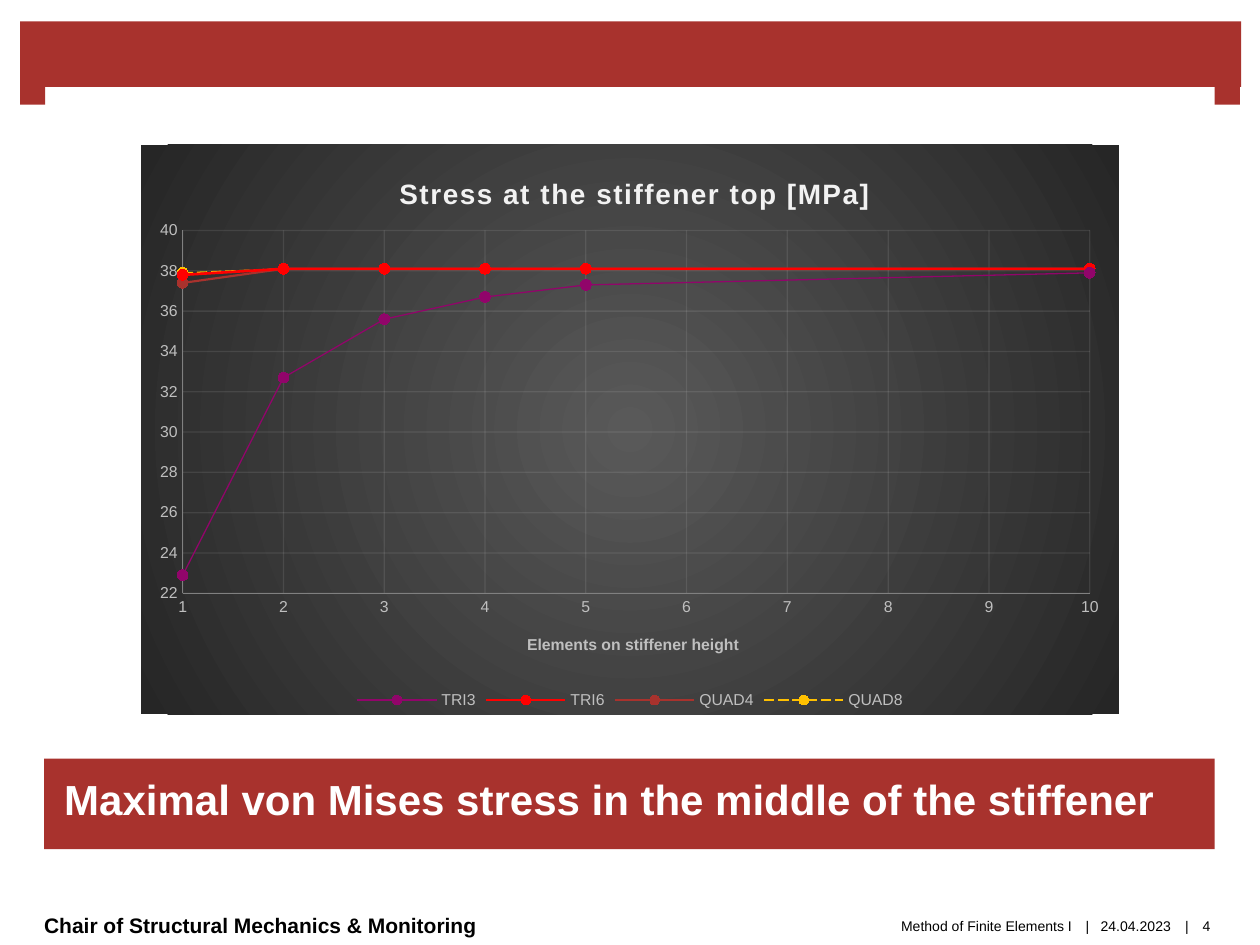
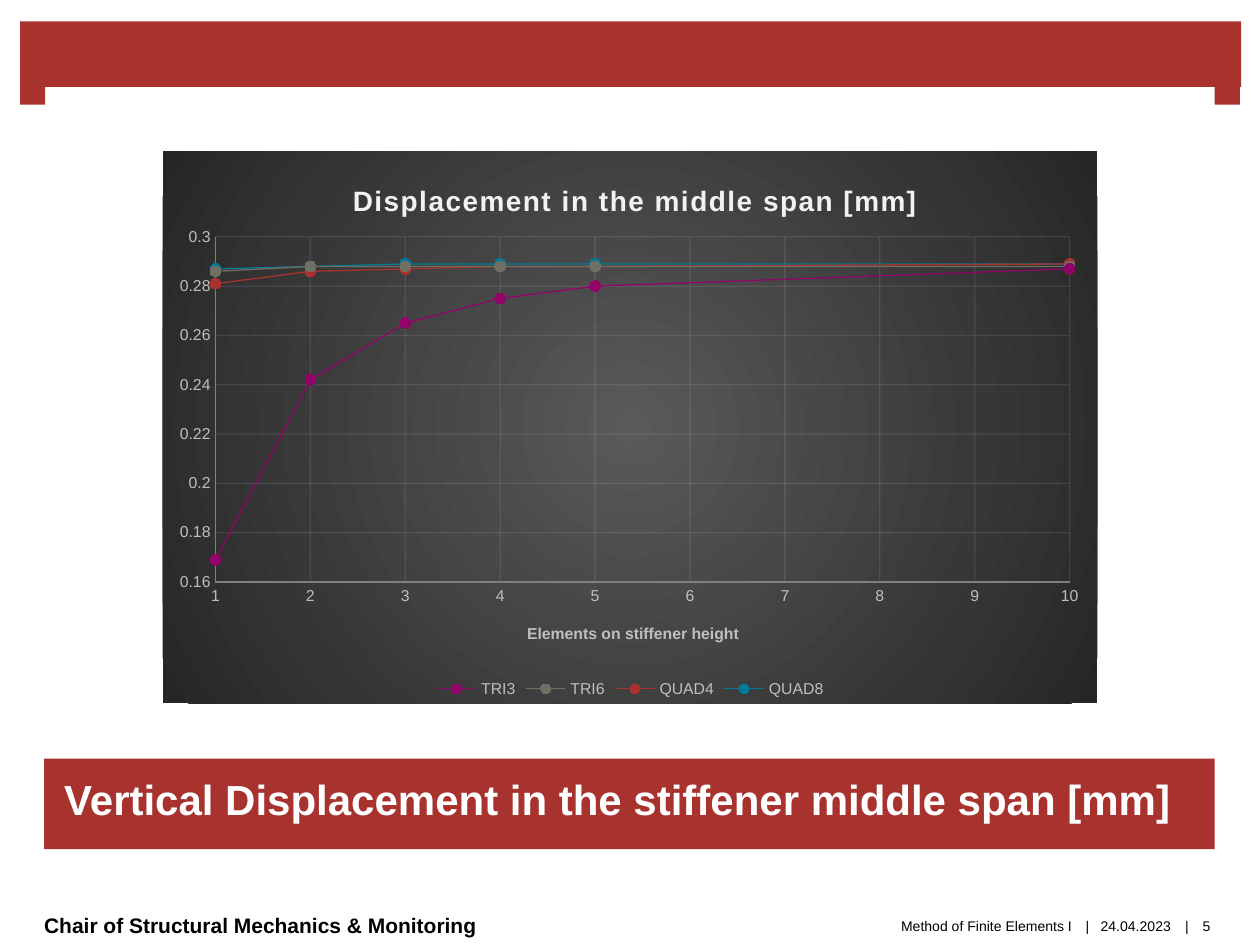
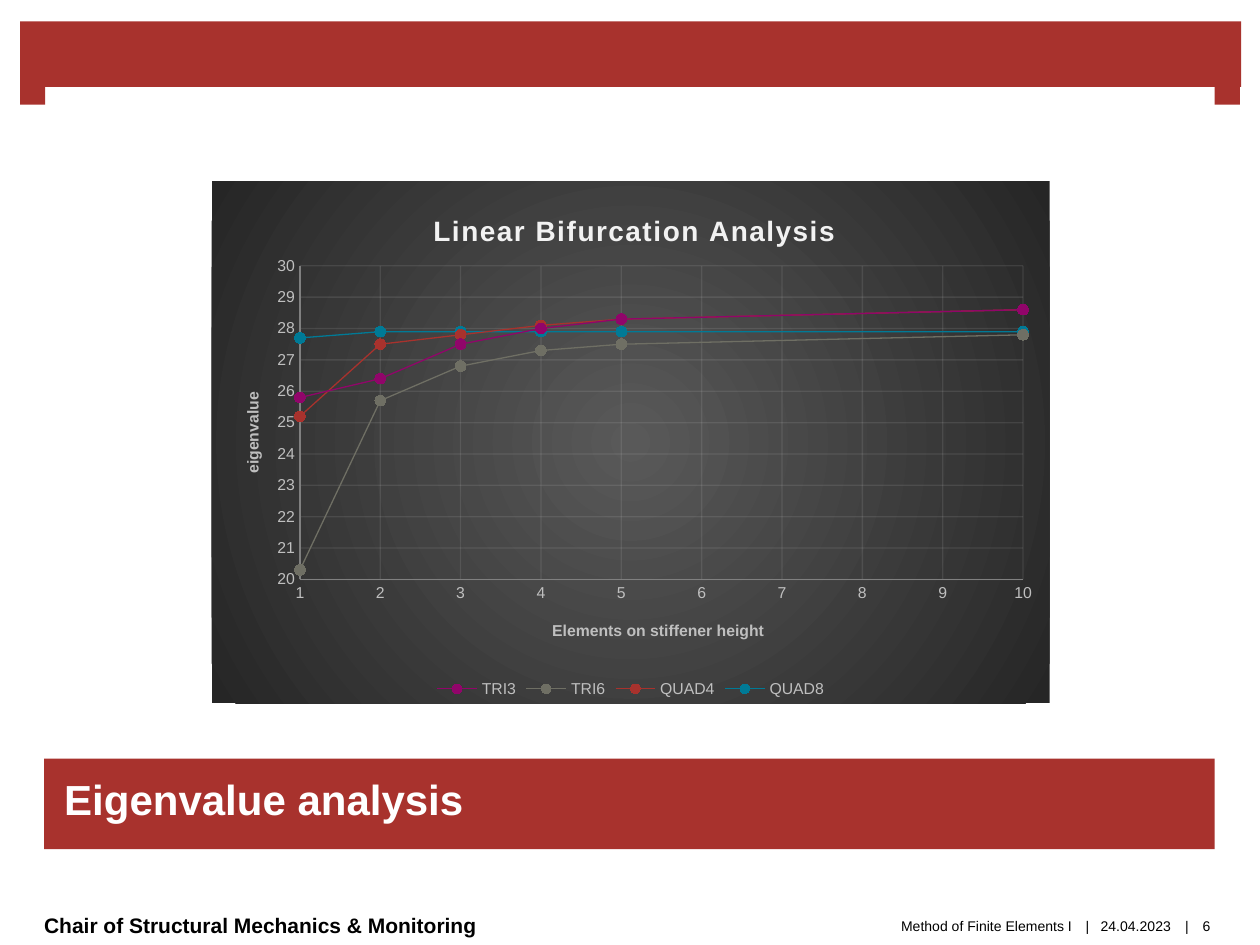
from lxml import etree
from pptx import Presentation
from pptx.chart.data import XyChartData
from pptx.dml.color import RGBColor
from pptx.enum.chart import (XL_CHART_TYPE, XL_LEGEND_POSITION,
                             XL_MARKER_STYLE, XL_TICK_MARK)
from pptx.enum.dml import MSO_LINE
from pptx.enum.shapes import MSO_SHAPE
from pptx.enum.text import MSO_ANCHOR, PP_ALIGN
from pptx.oxml import parse_xml
from pptx.oxml.ns import nsdecls, qn
from pptx.util import Inches, Pt

FONT = "Arial"
BRICK = RGBColor(0xA8, 0x32, 0x2D)
PURPLE = RGBColor(0x91, 0x05, 0x6A)
STONE = RGBColor(0x6F, 0x6F, 0x64)
TEAL = RGBColor(0x00, 0x7A, 0x96)
RED = RGBColor(0xFF, 0x00, 0x00)
GOLD = RGBColor(0xFF, 0xC0, 0x00)
WHITE = RGBColor(0xFF, 0xFF, 0xFF)
BLACK = RGBColor(0x00, 0x00, 0x00)
PALE = RGBColor(0xF2, 0xF2, 0xF2)
SILVER = RGBColor(0xBF, 0xBF, 0xBF)
AXIS_GREY = RGBColor(0x80, 0x80, 0x80)

# Content: boxes are left, top, width, height in inches on the slide
ELEMENT_COUNTS = [1, 2, 3, 4, 5, 10]
X_TITLE = "Elements on stiffener height"
SERIES_STYLE = {  # colour, line width, dash
    "TRI3": (PURPLE, 0.75, None),
    "TRI6": (STONE, 0.75, None),
    "QUAD4": (BRICK, 0.75, None),
    "QUAD8": (TEAL, 0.75, None),
}
STRESS_STYLE = SERIES_STYLE | {
    "TRI6": (RED, 1.5, None),
    "QUAD4": (BRICK, 1.25, None),
    "QUAD8": (GOLD, 0.75, MSO_LINE.LONG_DASH),
}
STUDIES = [
    {
        "heading": "Maximal von Mises stress in the middle of the stiffener",
        "chart_title": "Stress at the stiffener top [MPa]",
        "chart_box": (1.12, 1.15, 7.76, 4.52),
        "plot_box": (1.45, 1.83, 7.2, 2.88),
        "title_left": 3.13, "x_title_left": 4.16,
        "y_scale": (22, 40, 2),
        "style": STRESS_STYLE,
        "values": {
            "TRI3": [22.9, 32.7, 35.6, 36.7, 37.3, 37.9],
            "TRI6": [37.8, 38.1, 38.1, 38.1, 38.1, 38.1],
            "QUAD4": [37.4, 38.1, 38.1, 38.1, 38.1, 38.1],
            "QUAD8": [37.9, 38.1, 38.1, 38.1, 38.1, 38.1],
        },
    },
    {
        "heading": "Vertical Displacement in the stiffener middle span [mm]",
        "chart_title": "Displacement in the middle span [mm]",
        "chart_box": (1.29, 1.2, 7.42, 4.38),
        "plot_box": (1.71, 1.88, 6.78, 2.74),
        "title_left": 2.76, "x_title_left": 4.16,
        "y_scale": (0.16, 0.3, 0.02),
        "style": SERIES_STYLE,
        "values": {
            "TRI3": [0.169, 0.242, 0.265, 0.275, 0.28, 0.287],
            "TRI6": [0.286, 0.288, 0.288, 0.288, 0.288, 0.288],
            "QUAD4": [0.281, 0.286, 0.287, 0.288, 0.288, 0.289],
            "QUAD8": [0.287, 0.288, 0.289, 0.289, 0.289, 0.289],
        },
    },
    {
        "heading": "Eigenvalue analysis",
        "chart_title": "Linear Bifurcation Analysis",
        "chart_box": (1.68, 1.44, 6.65, 4.14),
        "plot_box": (2.38, 2.11, 5.74, 2.49),
        "title_left": 3.4, "x_title_left": 4.36,
        "y_title": ("eigenvalue", 1.9, 3.09),
        "y_scale": (20, 30, 1),
        "style": SERIES_STYLE,
        "values": {
            "TRI3": [25.8, 26.4, 27.5, 28, 28.3, 28.6],
            "TRI6": [20.3, 25.7, 26.8, 27.3, 27.5, 27.8],
            "QUAD4": [25.2, 27.5, 27.8, 28.1, 28.3, 28.6],
            "QUAD8": [27.7, 27.9, 27.9, 27.9, 27.9, 27.9],
        },
    },
]
FIRST_PAGE = 4

# Shared frame
BANDS = [(0.16, 0.17, 9.69, 0.52), (0.16, 0.65, 0.2, 0.18), (9.64, 0.65, 0.2, 0.18)]
HEADING_BOX = (0.35, 6.02, 9.29, 0.72)
FOOTER_TOP, FOOTER_HEIGHT = 7.09, 0.51
FOOTERS = [  # text, left, width, alignment, size, bold
    ("Chair of Structural Mechanics & Monitoring", 0.35, 4.65, PP_ALIGN.LEFT, 12, True),
    ("Method of Finite Elements I", 5, 3.51, PP_ALIGN.RIGHT, 8, False),
    ("|", 8.57, 0.12, PP_ALIGN.CENTER, 8, False),
    ("24.04.2023", 8.68, 0.67, PP_ALIGN.CENTER, 8, False),
    ("|", 9.36, 0.12, PP_ALIGN.CENTER, 8, False),
]
PAGE_LEFT, PAGE_WIDTH = 9.43, 0.29

CHART_FILL = f"""<c:spPr {nsdecls("c", "a")}>
  <a:gradFill><a:gsLst>
    <a:gs pos="0"><a:srgbClr val="595959"/></a:gs>
    <a:gs pos="100000"><a:srgbClr val="262626"/></a:gs>
  </a:gsLst><a:path path="circle">
    <a:fillToRect l="50000" t="50000" r="50000" b="50000"/>
  </a:path></a:gradFill><a:ln><a:noFill/></a:ln></c:spPr>"""
PLOT_FILL = f'<c:spPr {nsdecls("c", "a")}><a:noFill/></c:spPr>'


def set_font(font, size, color, bold=False):
    font.name, font.size, font.bold = FONT, Pt(size), bold
    font.color.rgb = color


def write(frame, text, size, color, bold=False, align=PP_ALIGN.LEFT):
    paragraph = frame.paragraphs[0]
    paragraph.alignment = align
    run = paragraph.add_run()
    run.text = text
    set_font(run.font, size, color, bold)
    return run


def set_margins(frame, left, top, right, bottom):
    frame.margin_left, frame.margin_top = Inches(left), Inches(top)
    frame.margin_right, frame.margin_bottom = Inches(right), Inches(bottom)


def add_footer(slide, text, left, width, align, size, bold):
    box = slide.shapes.add_textbox(Inches(left), Inches(FOOTER_TOP),
                                   Inches(width), Inches(FOOTER_HEIGHT))
    frame = box.text_frame
    frame.word_wrap = True
    frame.vertical_anchor = MSO_ANCHOR.MIDDLE
    set_margins(frame, 0, 0, 0, 0)
    write(frame, text, size, BLACK, bold, align)


def add_frame(slide, heading, page):
    for band_box in BANDS:
        band = slide.shapes.add_shape(MSO_SHAPE.RECTANGLE, *map(Inches, band_box))
        band.shadow.inherit = False
        band.fill.solid()
        band.fill.fore_color.rgb = BRICK
        band.line.fill.background()
    for footer in FOOTERS:
        add_footer(slide, *footer)
    add_footer(slide, str(page), PAGE_LEFT, PAGE_WIDTH, PP_ALIGN.CENTER, 8, False)

    title = slide.shapes.title
    title.left, title.top, title.width, title.height = map(Inches, HEADING_BOX)
    title.fill.solid()
    title.fill.fore_color.rgb = BRICK
    frame = title.text_frame
    frame.word_wrap = True
    frame.vertical_anchor = MSO_ANCHOR.TOP
    set_margins(frame, 0.16, 0.12, 0.16, 0)
    write(frame, heading, 24, WHITE, bold=True)


def place(element, chart_box, left, top, size=None):
    """Fix a chart part at slide inches, given as fractions of the chart."""
    chart_left, chart_top, chart_width, chart_height = chart_box
    settings = [("xMode", "edge"), ("yMode", "edge"),
                ("x", (left - chart_left) / chart_width),
                ("y", (top - chart_top) / chart_height)]
    if size:
        settings.insert(0, ("layoutTarget", "inner"))
        settings += [("w", size[0] / chart_width), ("h", size[1] / chart_height)]
    old = element.find(qn("c:layout"))
    if old is not None:
        element.remove(old)
    layout = parse_xml(f'<c:layout {nsdecls("c")}/>')
    manual = etree.SubElement(layout, qn("c:manualLayout"))
    for tag, value in settings:
        shown = value if isinstance(value, str) else f"{value:.4f}"
        etree.SubElement(manual, qn(f"c:{tag}")).set("val", shown)
    text = element.find(qn("c:tx"))
    element.insert(0 if text is None else 1, layout)


def add_title(owner, text, size, color, chart_box, left, top):
    """Title of a chart or of an axis."""
    owner.has_title = True
    title = owner.chart_title if hasattr(owner, "chart_title") else owner.axis_title
    run = write(title.text_frame, text, size, color, True, PP_ALIGN.CENTER)
    place(title._element, chart_box, left, top)
    return run


def style_axis(axis, low, high, step):
    axis.minimum_scale, axis.maximum_scale, axis.major_unit = low, high, step
    axis.major_tick_mark = axis.minor_tick_mark = XL_TICK_MARK.NONE
    set_font(axis.tick_labels.font, 9, SILVER)
    axis.format.line.color.rgb = AXIS_GREY
    axis.format.line.width = Pt(0.75)
    axis.has_major_gridlines = True
    grid = axis.major_gridlines.format.line
    grid.color.rgb = PALE
    grid.width = Pt(0.75)
    color = axis.major_gridlines._xAx.find(qn("c:majorGridlines")).find(
        ".//" + qn("a:srgbClr"))
    etree.SubElement(color, qn("a:alpha")).set("val", "10000")


def add_study_chart(slide, study):
    data = XyChartData()
    for name, values in study["values"].items():
        series = data.add_series(name)
        for count, value in zip(ELEMENT_COUNTS, values):
            series.add_data_point(count, value)
    box = study["chart_box"]
    chart = slide.shapes.add_chart(XL_CHART_TYPE.XY_SCATTER_SMOOTH,
                                   *map(Inches, box), data).chart
    set_font(chart.font, 10, BLACK)
    chart.plots[0].vary_by_categories = False

    # Background and plot area
    chart_part = chart._chartSpace.find(qn("c:chart"))
    chart_part.addnext(parse_xml(CHART_FILL))
    plot_area = chart_part.find(qn("c:plotArea"))
    plot_area.append(parse_xml(PLOT_FILL))
    left, top, width, height = study["plot_box"]
    place(plot_area, box, left, top, (width, height))

    # Titles, axes and legend
    heading = add_title(chart, study["chart_title"], 16, PALE, box,
                        study["title_left"], box[1] + 0.21)
    heading.font._element.set("spc", "100")
    add_title(chart.category_axis, X_TITLE, 9, SILVER, box,
              study["x_title_left"], top + height + 0.3)
    if "y_title" in study:
        text, title_left, title_top = study["y_title"]
        add_title(chart.value_axis, text, 9, SILVER, box, title_left, title_top)
    style_axis(chart.category_axis, 1, 10, 1)
    style_axis(chart.value_axis, *study["y_scale"])
    chart.has_legend = True
    chart.legend.position = XL_LEGEND_POSITION.BOTTOM
    chart.legend.include_in_layout = False
    set_font(chart.legend.font, 9, SILVER)

    # Curves
    for series in chart.plots[0].series:
        color, line_width, dash = study["style"][series.name]
        series.smooth = True
        line = series.format.line
        line.color.rgb = color
        line.width = Pt(line_width)
        if dash:
            line.dash_style = dash
        marker = series.marker
        marker.style, marker.size = XL_MARKER_STYLE.CIRCLE, 6
        marker.format.fill.solid()
        marker.format.fill.fore_color.rgb = color
        marker.format.line.fill.background()


def main():
    prs = Presentation()
    prs.slide_width, prs.slide_height = Inches(10), Inches(7.5)
    for page, study in enumerate(STUDIES, FIRST_PAGE):
        slide = prs.slides.add_slide(prs.slide_layouts[0])
        subtitle = slide.placeholders[1].element
        subtitle.getparent().remove(subtitle)
        add_frame(slide, study["heading"], page)
        add_study_chart(slide, study)
    prs.save("out.pptx")


if __name__ == "__main__":
    main()
